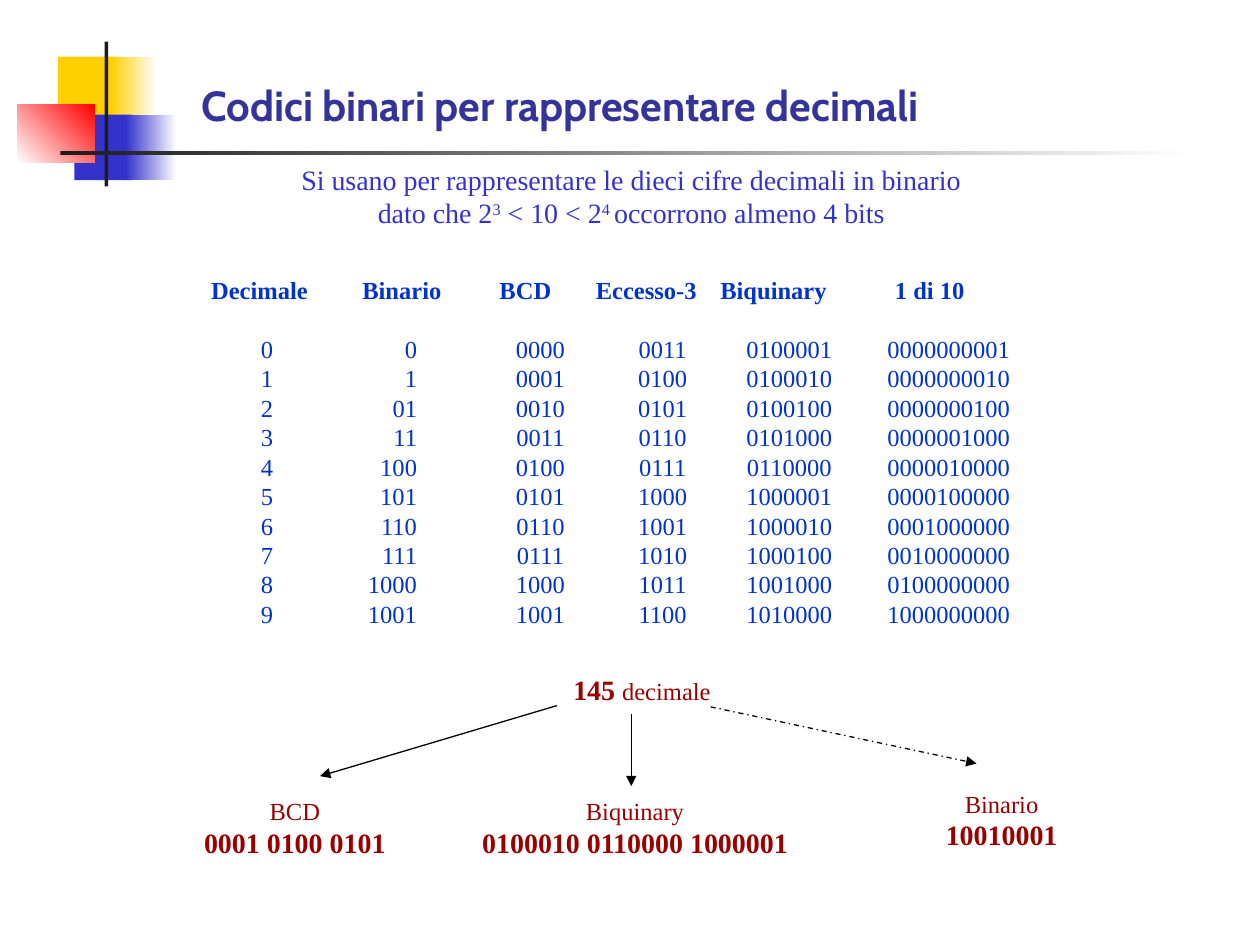
from lxml.etree import SubElement
from pptx import Presentation
from pptx.dml.color import RGBColor
from pptx.enum.dml import MSO_LINE
from pptx.enum.shapes import MSO_CONNECTOR, MSO_SHAPE
from pptx.enum.text import MSO_ANCHOR, PP_ALIGN
from pptx.oxml.ns import qn
from pptx.util import Inches, Pt

YELLOW = RGBColor(0xFF, 0xCF, 0x01)
BLUE = RGBColor(0x33, 0x33, 0xCC)
RED = RGBColor(0xFF, 0x00, 0x00)
WHITE = RGBColor(0xFF, 0xFF, 0xFF)
CHARCOAL = RGBColor(0x1C, 0x1C, 0x1C)
BLACK = RGBColor(0x00, 0x00, 0x00)
TITLE_BLUE = RGBColor(0x33, 0x33, 0x99)
TABLE_BLUE = RGBColor(0x00, 0x33, 0xCC)
DARK_RED = RGBColor(0x99, 0x00, 0x00)
TITLE_FONT = "Cabin"
BODY_FONT = "Times New Roman"

HEADERS = ["Decimale", "Binario", "BCD", "Eccesso-3", "Biquinary", "1 di 10"]
COLUMN_WIDTHS = [1.26, 1.0, 0.96, 0.96, 1.06, 1.42]
# Left margins that set the codes a little to the right of their headings
CODE_INDENTS = [0.12, 0, 0.24, 0.26, 0.25, 0.3]
ROWS = [
    ["0", "0", "0000", "0011", "0100001", "0000000001"],
    ["1", "1", "0001", "0100", "0100010", "0000000010"],
    ["2", "01", "0010", "0101", "0100100", "0000000100"],
    ["3", "11", "0011", "0110", "0101000", "0000001000"],
    ["4", "100", "0100", "0111", "0110000", "0000010000"],
    ["5", "101", "0101", "1000", "1000001", "0000100000"],
    ["6", "110", "0110", "1001", "1000010", "0001000000"],
    ["7", "111", "0111", "1010", "1000100", "0010000000"],
    ["8", "1000", "1000", "1011", "1001000", "0100000000"],
    ["9", "1001", "1001", "1100", "1010000", "1000000000"],
]


def inches(*lengths):
    return [Inches(length) for length in lengths]


def style(font, size, color, bold=False, name=BODY_FONT):
    font.name = name
    font.size = Pt(size)
    font.bold = bold
    font.color.rgb = color


def add_bar(slide, box, colors, angle=0):
    """Rectangle with a plain fill for one colour, a gradient for two."""
    shape = slide.shapes.add_shape(MSO_SHAPE.RECTANGLE, *inches(*box))
    shape.shadow.inherit = False
    shape.line.fill.background()
    if len(colors) == 1:
        shape.fill.solid()
        shape.fill.fore_color.rgb = colors[0]
    else:
        shape.fill.gradient()
        shape.fill.gradient_angle = angle
        for stop, color in zip(shape.fill.gradient_stops, colors):
            stop.color.rgb = color


def add_decoration(slide, left, top):
    # Coloured squares
    add_bar(slide, (left + 0.32, top + 0.12, 0.48, 0.52), [YELLOW])
    add_bar(slide, (left + 0.74, top + 0.12, 0.36, 0.52), [YELLOW, WHITE])
    add_bar(slide, (left + 0.45, top + 0.58, 0.46, 0.52), [BLUE])
    add_bar(slide, (left + 0.86, top + 0.58, 0.4, 0.52), [BLUE, WHITE])
    add_bar(slide, (left, top + 0.5, 0.61, 0.46), [WHITE, RED], 45)
    # Crossing rules
    add_bar(slide, (left + 0.69, top, 0.03, 1.15), [CHARCOAL])
    add_bar(slide, (left + 0.34, top + 0.87, 9, 0.03), [CHARCOAL, WHITE])


def add_title(slide, box):
    title = slide.shapes.title
    title.left, title.top, title.width, title.height = inches(*box)
    frame = title.text_frame
    frame.text = "Codici binari per rappresentare decimali"
    frame.vertical_anchor = MSO_ANCHOR.BOTTOM
    frame.paragraphs[0].alignment = PP_ALIGN.LEFT
    style(frame.paragraphs[0].runs[0].font, 24, TITLE_BLUE, True, TITLE_FONT)


def add_text(slide, box, lines, color):
    """Centred lines; each is a list of (text, size, bold, superscript)."""
    frame = slide.shapes.add_textbox(*inches(*box)).text_frame
    frame.word_wrap = False
    for index, line in enumerate(lines):
        paragraph = frame.add_paragraph() if index else frame.paragraphs[0]
        paragraph.alignment = PP_ALIGN.CENTER
        for text, size, bold, superscript in line:
            run = paragraph.add_run()
            run.text = text
            style(run.font, size, color, bold)
            if superscript:
                run.font._element.set("baseline", "30000")


def add_introduction(slide, box):
    first = "Si usano per rappresentare le dieci cifre decimali in binario"
    second = [("dato che 2", False), ("3", True), (" < 10 < 2", False),
              ("4 ", True), ("occorrono almeno 4 bits", False)]
    lines = [[(first, 16, False, False)],
             [(text, 16, False, raised) for text, raised in second]]
    add_text(slide, box, lines, BLUE)


def add_code_table(slide, left, top):
    header_height, row_height = Inches(0.47), Inches(2.34) // len(ROWS)
    frame = slide.shapes.add_table(
        len(ROWS) + 1, len(HEADERS), Inches(left), Inches(top),
        Inches(sum(COLUMN_WIDTHS)), header_height + row_height * len(ROWS))
    table = frame.table
    table.first_row = table.horz_banding = False
    for column, width in zip(table.columns, COLUMN_WIDTHS):
        column.width = Inches(width)
    for row_index, values in enumerate([HEADERS] + ROWS):
        is_header = row_index == 0
        table.rows[row_index].height = header_height if is_header else row_height
        for column_index, value in enumerate(values):
            cell = table.cell(row_index, column_index)
            cell.fill.background()
            cell.margin_top = cell.margin_bottom = cell.margin_right = 0
            indent = 0 if is_header else CODE_INDENTS[column_index]
            cell.margin_left = Inches(indent)
            cell.text = value
            paragraph = cell.text_frame.paragraphs[0]
            paragraph.alignment = PP_ALIGN.CENTER
            # Plain binary numbers line up on their last digit
            if column_index == 1 and not is_header:
                paragraph.alignment = PP_ALIGN.RIGHT
                cell.margin_right = Inches(0.38)
            style(paragraph.runs[0].font, 14, TABLE_BLUE, is_header)


def add_arrow(slide, start, end, dash=None):
    arrow = slide.shapes.add_connector(
        MSO_CONNECTOR.STRAIGHT, *inches(*start, *end))
    arrow.line.color.rgb = BLACK
    arrow.line.width = Pt(0.75)
    if dash:
        arrow.line.dash_style = dash
    SubElement(arrow.line._get_or_add_ln(), qn("a:tailEnd"), type="triangle")
    SubElement(arrow._element.spPr, qn("a:effectLst"))


def add_example(slide, left, top):
    # Number to encode
    add_text(slide, (left + 2.93, top, 1.29, 0.37),
             [[("145 ", 16, True, False), ("decimale", 14, False, False)]],
             DARK_RED)
    # Arrows to its codes
    add_arrow(slide, (left + 2.9, top + 0.31), (left + 1.02, top + 0.87))
    add_arrow(slide, (left + 3.49, top + 0.38), (left + 3.49, top + 0.95))
    add_arrow(slide, (left + 4.12, top + 0.32), (left + 6.23, top + 0.77),
              MSO_LINE.DASH_DOT)
    # Codes
    codes = [("BCD", "0001 0100 0101", 0, 0.98, 1.64),
             ("Biquinary", "0100010 0110000 1000001", 2.2, 0.98, 2.64),
             ("Binario", "10010001", 5.83, 0.92, 1.2)]
    for name, code, x, y, width in codes:
        add_text(slide, (left + x, top + y, width, 0.6),
                 [[(name, 14, False, False)], [(code, 16, True, False)]],
                 DARK_RED)


def main():
    presentation = Presentation()
    presentation.slide_width, presentation.slide_height = inches(10, 7.5)
    slide = presentation.slides.add_slide(presentation.slide_layouts[5])
    add_decoration(slide, 0.14, 0.33)
    add_title(slide, (1.5, 0.33, 7.17, 0.75))
    add_introduction(slide, (2.29, 1.24, 5.44, 0.64))
    add_code_table(slide, 1.43, 2.2)
    add_example(slide, 1.52, 5.29)
    presentation.save("out.pptx")


if __name__ == "__main__":
    main()
